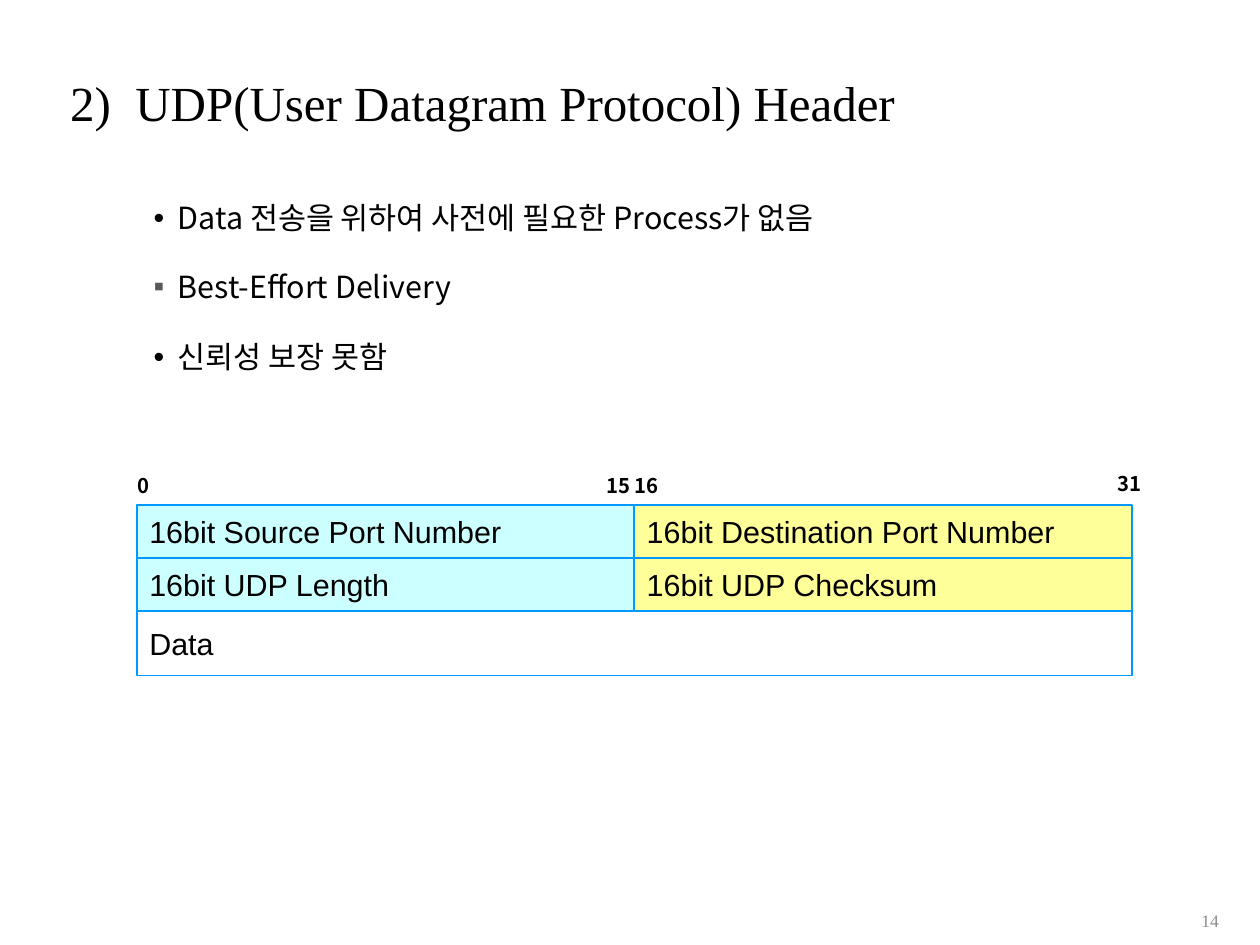
from lxml import etree
from pptx import Presentation
from pptx.dml.color import RGBColor
from pptx.enum.shapes import MSO_SHAPE
from pptx.enum.text import MSO_ANCHOR, MSO_AUTO_SIZE, PP_ALIGN
from pptx.oxml.ns import qn
from pptx.util import Pt

RECT = MSO_SHAPE.RECTANGLE
TOP, MIDDLE = MSO_ANCHOR.TOP, MSO_ANCHOR.MIDDLE
LEFT, RIGHT = PP_ALIGN.LEFT, PP_ALIGN.RIGHT
FIT_SHAPE = MSO_AUTO_SIZE.SHAPE_TO_FIT_TEXT

COLORS = {
    "text": "000000",
    "number": "8C8C8C",
    "square": "595959",
    "border": "0099FF",
    "cyan": "CCFFFF",
    "yellow": "FFFF99",
    "white": "FFFFFF",
}
SERIF, SANS, KOREAN = "Times New Roman", "Arial", "Noto Sans CJK KR"


def rgb(name):
    return RGBColor.from_string(COLORS[name])


def format_paragraph(p, font, size, color="text", bold=False, align=LEFT):
    p.alignment = align
    for r in p.runs:
        r.font.name, r.font.size, r.font.bold = font, Pt(size), bold
        r.font.color.rgb = rgb(color)
        etree.SubElement(r._r.get_or_add_rPr(), qn("a:ea"), typeface=font)


def set_indent(p, left, first):
    pPr = p._p.get_or_add_pPr()
    pPr.set("marL", str(Pt(left)))
    pPr.set("indent", str(Pt(first)))
    return pPr


def add_bullet(p, char, color):
    pPr = set_indent(p, 75, -13.75)
    bu_clr = etree.SubElement(pPr, qn("a:buClr"))
    etree.SubElement(bu_clr, qn("a:srgbClr"), val=COLORS[color])
    etree.SubElement(pPr, qn("a:buFont"), typeface=SANS)
    etree.SubElement(pPr, qn("a:buChar"), char=char)


def add_text(slide, box, text, anchor=TOP, wrap=True):
    tf = slide.shapes.add_textbox(*map(Pt, box)).text_frame
    tf.word_wrap, tf.vertical_anchor = wrap, anchor
    tf.text = text
    return tf


def add_title(slide, box):
    tf = add_text(slide, box, "2)  UDP(User Datagram Protocol) Header", MIDDLE)
    p = tf.paragraphs[0]
    p.line_spacing = 0.9
    format_paragraph(p, SERIF, 28)


def add_features(slide, box):
    items = [
        ("Data 전송을 위하여 사전에 필요한 Process가 없음", "•", "text", 2.9),
        ("Best-Effort Delivery", "▪", "square", 3.9),
        ("신뢰성 보장 못함", "•", "text", 2.9),
    ]
    tf = add_text(slide, box, "\n".join(item[0] for item in items))
    for p, (_, char, color, after) in zip(tf.paragraphs, items):
        p.line_spacing, p.space_before, p.space_after = 1.5, Pt(5), Pt(after)
        add_bullet(p, char, color)
        format_paragraph(p, KOREAN, 17.4)


def add_field(slide, box, text, fill):
    sp = slide.shapes.add_shape(RECT, *map(Pt, box))
    sp.shadow.inherit = False
    sp.fill.solid()
    sp.fill.fore_color.rgb = rgb(fill)
    sp.line.color.rgb = rgb("border")
    sp.line.width = Pt(1)
    tf = sp.text_frame
    tf.word_wrap, tf.vertical_anchor = False, MIDDLE
    tf.text = text
    format_paragraph(tf.paragraphs[0], SANS, 17.4)


def add_bit_label(slide, box, text):
    tf = add_text(slide, box, text, wrap=False)
    tf.auto_size = FIT_SHAPE
    p = tf.paragraphs[0]
    p.line_spacing = 1.3
    set_indent(p, 22.5, -22.5)
    format_paragraph(p, KOREAN, 11.6, bold=True)


def add_header_diagram(slide, box):
    x, y, w, h = box
    half, row_h = w / 2, 30.25
    rows = [
        ("16bit Source Port Number", "16bit Destination Port Number"),
        ("16bit UDP Length", "16bit UDP Checksum"),
    ]
    data_y = len(rows) * row_h
    add_field(slide, (x, y + data_y, w, h - data_y), "Data", "white")
    for i, row in enumerate(rows):
        for j, (text, fill) in enumerate(zip(row, ("cyan", "yellow"))):
            cell = (x + j * half, y + i * row_h, half, row_h)
            add_field(slide, cell, text, fill)

    labels = [("0", -7, -26, 21), ("15 16", 261, -26, 45), ("31", 553.25, -27, 28)]
    for text, dx, dy, label_w in labels:
        add_bit_label(slide, (x + dx, y + dy, label_w, 23), text)


def add_slide_number(slide, box):
    tf = add_text(slide, box, "14", MIDDLE)
    format_paragraph(tf.paragraphs[0], SERIF, 10, "number", align=RIGHT)


def main():
    prs = Presentation()
    prs.slide_width, prs.slide_height = Pt(720), Pt(540)
    s = prs.slides.add_slide(prs.slide_layouts[6])
    add_title(s, (33, 37.5, 729.5, 45.5))
    add_features(s, (19.5, 100, 680.5, 412.5))
    add_header_diagram(s, (78.25, 288.75, 568.5, 97.25))
    add_slide_number(s, (638, 512, 65.5, 28))
    prs.save("out.pptx")


if __name__ == "__main__":
    main()
